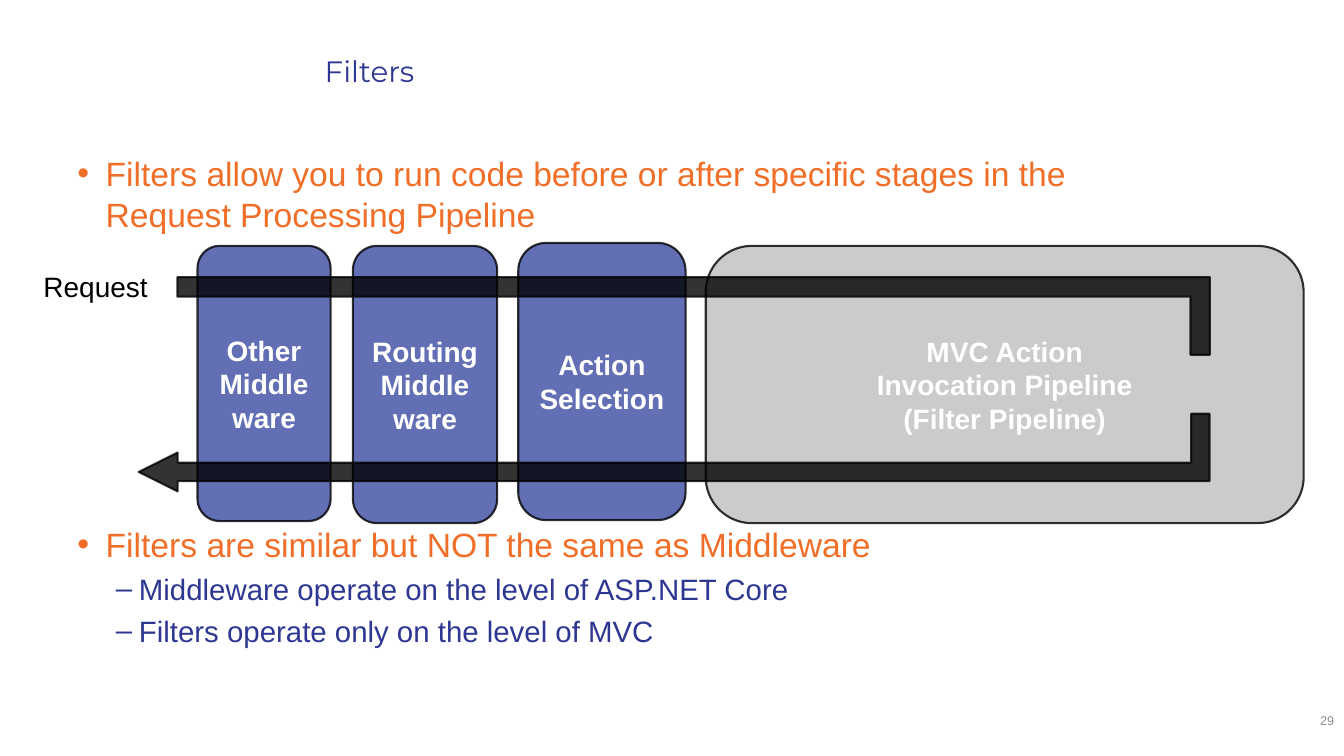
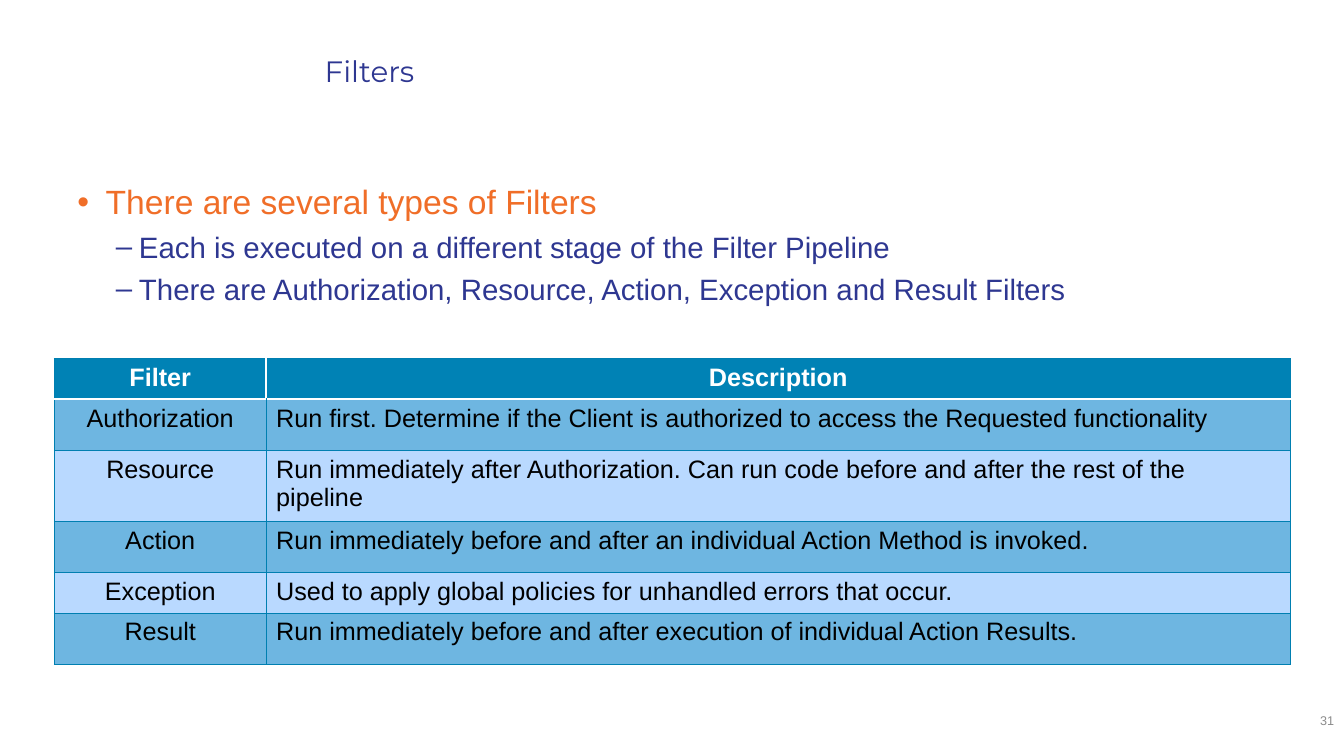
from dataclasses import dataclass

import pptx
import pptx.dml.color
import pptx.enum.shapes
import pptx.enum.text
import pptx.oxml
import pptx.oxml.ns
import pptx.oxml.xmlchemy
import pptx.presentation
import pptx.shapes.autoshape
import pptx.slide
import pptx.table
import pptx.text.text
import pptx.util

# Shared look
WIDTH, HEIGHT = pptx.util.Inches(13.33), pptx.util.Inches(7.5)
BODY_FONT, TITLE_FONT = "Arial", "Montserrat"
ORANGE, NAVY, STAGE_BLUE = "F06E28", "2E3791", "3C4CA2"
BLACK, WHITE, SILVER, PAGE_GREY = "000000", "FFFFFF", "BFBFBF", "8C8C8C"
HEADER_BLUE, GRID_BLUE, BAND_DARK, BAND_LIGHT = "0082B5", "007FB1", "6EB6E1", "B9D9FF"
OPACITY = 80
ALIGN = pptx.enum.text.PP_ALIGN
ANCHOR = pptx.enum.text.MSO_ANCHOR
PRESET = pptx.enum.shapes.MSO_SHAPE


@dataclass(frozen=True)
class Area:
    """A rectangle in percent of the slide's width and height."""
    left: float
    top: float
    width: float
    height: float

    def emu(self) -> tuple[int, int, int, int]:
        return (across(self.left), down(self.top), across(self.width), down(self.height))


@dataclass(frozen=True)
class TextStyle:
    size: float
    color: str
    font: str = BODY_FONT
    bold: bool = False
    align: ALIGN = ALIGN.LEFT


@dataclass(frozen=True)
class Level:
    mark: str
    margin: float
    hanging: float
    style: TextStyle


@dataclass(frozen=True)
class Bullet:
    text: str
    level: Level
    space_before: float = 5


@dataclass(frozen=True)
class Stage:
    label: str
    area: Area
    color: str = STAGE_BLUE


@dataclass(frozen=True)
class Arrow:
    area: Area
    bends: tuple[float, float, float]
    flip: str
    quarter_turn: bool = False


@dataclass(frozen=True)
class FilterType:
    name: str
    description: str
    height: float = 6.8


TITLE = TextStyle(21, NAVY, TITLE_FONT)
PAGE_NUMBER = TextStyle(9, PAGE_GREY, align=ALIGN.RIGHT)
REQUEST = TextStyle(20, BLACK)
STAGE_LABEL = TextStyle(20, WHITE, bold=True, align=ALIGN.CENTER)
HEADER_CELL = TextStyle(18, WHITE, bold=True, align=ALIGN.CENTER)
NAME_CELL = TextStyle(18, BLACK, align=ALIGN.CENTER)
DESCRIPTION_CELL = TextStyle(18, BLACK)
POINT = Level("•", 0.28, 0.28, TextStyle(24, ORANGE))
DETAIL = Level("–", 0.61, 0.23, TextStyle(21, NAVY))

# Content
PIPELINE_BULLETS = [
    Bullet("Filters allow you to run code before or after specific stages in the \n"
           "Request Processing Pipeline", POINT),
    Bullet("Filters are similar but NOT the same as Middleware", POINT, space_before=207),
    Bullet("Middleware operate on the level of ASP.NET Core", DETAIL),
    Bullet("Filters operate only on the level of MVC", DETAIL),
]
STAGES = [
    Stage("Other\nMiddleware", Area(14.7, 32.53, 9.9, 36.4)),
    Stage("Routing\nMiddle\nware", Area(26.26, 32.53, 10.73, 36.67)),
    Stage("Action\nSelection", Area(38.56, 32.13, 12.45, 36.67)),
    Stage("MVC Action\nInvocation Pipeline\n(Filter Pipeline)",
          Area(52.51, 32.53, 44.49, 36.67), SILVER),
]
ARROWS = [
    Arrow(Area(13.2, 36.67, 76.82, 10.27), (0.25, 0.124, 0), "flipV"),
    Arrow(Area(10.32, 54.73, 79.67, 10.27), (0.237, 0.25, 0.5), "flipH", quarter_turn=True),
]
TYPE_BULLETS = [
    Bullet("There are several types of Filters", POINT),
    Bullet("Each is executed on a different stage of the Filter Pipeline", DETAIL),
    Bullet("There are Authorization, Resource, Action, Exception and Result Filters", DETAIL),
]
FILTER_TYPES = [
    FilterType("Filter", "Description", 5.07),
    FilterType("Authorization", "Run first. Determine if the Client is authorized to access "
               "the Requested functionality"),
    FilterType("Resource", "Run immediately after Authorization. Can run code before and after "
               "the rest of the\npipeline"),
    FilterType("Action", "Run immediately before and after an individual Action Method is invoked."),
    FilterType("Exception", "Used to apply global policies for unhandled errors that occur.", 5.07),
    FilterType("Result", "Run immediately before and after execution of individual Action Results."),
]
COLUMN_WIDTHS = (15.75, 76.22)


# Helpers
def across(share: float) -> int:
    return round(WIDTH * share / 100)


def down(share: float) -> int:
    return round(HEIGHT * share / 100)


def rgb(color: str) -> pptx.dml.color.RGBColor:
    return pptx.dml.color.RGBColor.from_string(color)


def add_xml(parent: pptx.oxml.xmlchemy.BaseOxmlElement, xml: str) -> None:
    tag, rest = xml[1:].split(" ", 1)
    parent.append(pptx.oxml.parse_xml(f"<{tag} {pptx.oxml.ns.nsdecls('a')} {rest}"))


def write(paragraph: pptx.text.text._Paragraph, text: str, style: TextStyle) -> None:
    paragraph.text = text
    paragraph.alignment = style.align
    font = paragraph.font
    font.name, font.size, font.bold = style.font, pptx.util.Pt(style.size), style.bold
    font.color.rgb = rgb(style.color)


def add_frame(slide: pptx.slide.Slide, area: Area, anchor: ANCHOR = ANCHOR.TOP,
              inset: tuple[float, float] = (0.1, 0.05)) -> pptx.text.text.TextFrame:
    frame = slide.shapes.add_textbox(*area.emu()).text_frame
    frame.word_wrap = True
    frame.vertical_anchor = anchor
    frame.margin_left = frame.margin_right = pptx.util.Inches(inset[0])
    frame.margin_top = frame.margin_bottom = pptx.util.Inches(inset[1])
    return frame


def add_bullets(slide: pptx.slide.Slide, area: Area, bullets: list[Bullet]) -> None:
    frame = add_frame(slide, area)
    for index, bullet in enumerate(bullets):
        paragraph = frame.add_paragraph() if index else frame.paragraphs[0]
        level = bullet.level
        properties = paragraph._p.get_or_add_pPr()
        properties.set("marL", str(pptx.util.Inches(level.margin)))
        properties.set("indent", str(-pptx.util.Inches(level.hanging)))
        add_xml(properties, f'<a:buClr ><a:srgbClr val="{level.style.color}"/></a:buClr>')
        add_xml(properties, f'<a:buFont typeface="{BODY_FONT}"/>')
        add_xml(properties, f'<a:buChar char="{level.mark}"/>')
        paragraph.space_before = pptx.util.Pt(bullet.space_before)
        write(paragraph, bullet.text, level.style)


def add_translucent(slide: pptx.slide.Slide, preset: PRESET, box: tuple[int, int, int, int],
                    color: str) -> pptx.shapes.autoshape.Shape:
    shape = slide.shapes.add_shape(preset, *box)
    shape.shadow.inherit = False
    shape.fill.solid()
    shape.fill.fore_color.rgb = rgb(color)
    shape.line.color.rgb = rgb(BLACK)
    shape.line.width = pptx.util.Pt(1.5)
    for paint in shape.element.spPr.iter(pptx.oxml.ns.qn("a:srgbClr")):
        add_xml(paint, f'<a:alpha val="{OPACITY * 1000}"/>')
    return shape


def add_stage(slide: pptx.slide.Slide, stage: Stage) -> None:
    box = add_translucent(slide, PRESET.ROUNDED_RECTANGLE, stage.area.emu(), stage.color)
    frame = box.text_frame
    frame.word_wrap = True
    frame.vertical_anchor = ANCHOR.MIDDLE
    write(frame.paragraphs[0], stage.label, STAGE_LABEL)


def add_arrow(slide: pptx.slide.Slide, arrow: Arrow) -> None:
    left, top, width, height = arrow.area.emu()
    if arrow.quarter_turn:
        shift = (width - height) // 2
        left, top, width, height = left + shift, top - shift, height, width
    shape = add_translucent(slide, PRESET.BENT_UP_ARROW, (left, top, width, height), BLACK)
    for index, bend in enumerate(arrow.bends):
        shape.adjustments[index] = bend
    shape.rotation = 270 if arrow.quarter_turn else 0
    shape.element.spPr.xfrm.set(arrow.flip, "1")


def set_borders(cell: pptx.table._Cell, row: int, column: int) -> None:
    sides = {side: (GRID_BLUE, 0.75) for side in ("lnL", "lnR", "lnT", "lnB")}
    if row == 0:
        sides["lnB"] = (WHITE, 2)
        del sides["lnL" if column else "lnR"]
    elif row == 1:
        sides["lnT"] = (WHITE, 2)
    properties = cell._tc.get_or_add_tcPr()
    for position, (side, (color, points)) in enumerate(sides.items()):
        line = pptx.oxml.parse_xml(
            f'<a:{side} {pptx.oxml.ns.nsdecls("a")} w="{pptx.util.Pt(points)}">'
            f'<a:solidFill><a:srgbClr val="{color}"/></a:solidFill></a:{side}>')
        properties.insert(position, line)


def add_filter_table(slide: pptx.slide.Slide, left: float, top: float) -> None:
    area = Area(left, top, sum(COLUMN_WIDTHS), sum(kind.height for kind in FILTER_TYPES))
    table = slide.shapes.add_table(len(FILTER_TYPES), len(COLUMN_WIDTHS), *area.emu()).table
    for column, width in enumerate(COLUMN_WIDTHS):
        table.columns[column].width = across(width)
    for row, kind in enumerate(FILTER_TYPES):
        table.rows[row].height = down(kind.height)
        fill = (BAND_DARK if row % 2 else BAND_LIGHT) if row else HEADER_BLUE
        styles = (NAME_CELL, DESCRIPTION_CELL) if row else (HEADER_CELL, HEADER_CELL)
        for column, text in enumerate((kind.name, kind.description)):
            cell = table.cell(row, column)
            cell.fill.solid()
            cell.fill.fore_color.rgb = rgb(fill)
            set_borders(cell, row, column)
            write(cell.text_frame.paragraphs[0], text, styles[column])


def add_page(deck: pptx.presentation.Presentation, number: int, bullets: list[Bullet],
             body: Area) -> pptx.slide.Slide:
    slide = deck.slides.add_slide(deck.slide_layouts[6])
    add_bullets(slide, body, bullets)
    title = add_frame(slide, Area(23.26, 2, 71.79, 14.8), ANCHOR.MIDDLE, (0.12, 0.04))
    write(title.paragraphs[0], "Filters", TITLE)
    footer = add_frame(slide, Area(76.67, 92.67, 23.33, 5.33), ANCHOR.MIDDLE)
    write(footer.paragraphs[0], str(number), PAGE_NUMBER)
    return slide


def main() -> None:
    deck = pptx.Presentation()
    deck.slide_width, deck.slide_height = WIDTH, HEIGHT

    # Request pipeline
    pipeline = add_page(deck, 29, PIPELINE_BULLETS, Area(5.03, 19.6, 90, 69.73))
    request = add_frame(pipeline, Area(2.03, 33.6, 11.18, 7.73), inset=(0.16, 0.12))
    request.paragraphs[0].line_spacing = 1.1
    write(request.paragraphs[0], "Request", REQUEST)
    for stage in STAGES:
        add_stage(pipeline, stage)
    for arrow in ARROWS:
        add_arrow(pipeline, arrow)

    # Filter types
    types_page = add_page(deck, 31, TYPE_BULLETS, Area(5.03, 23.33, 90, 66))
    add_filter_table(types_page, 4.05, 47.47)

    deck.save("out.pptx")


if __name__ == "__main__":
    main()
